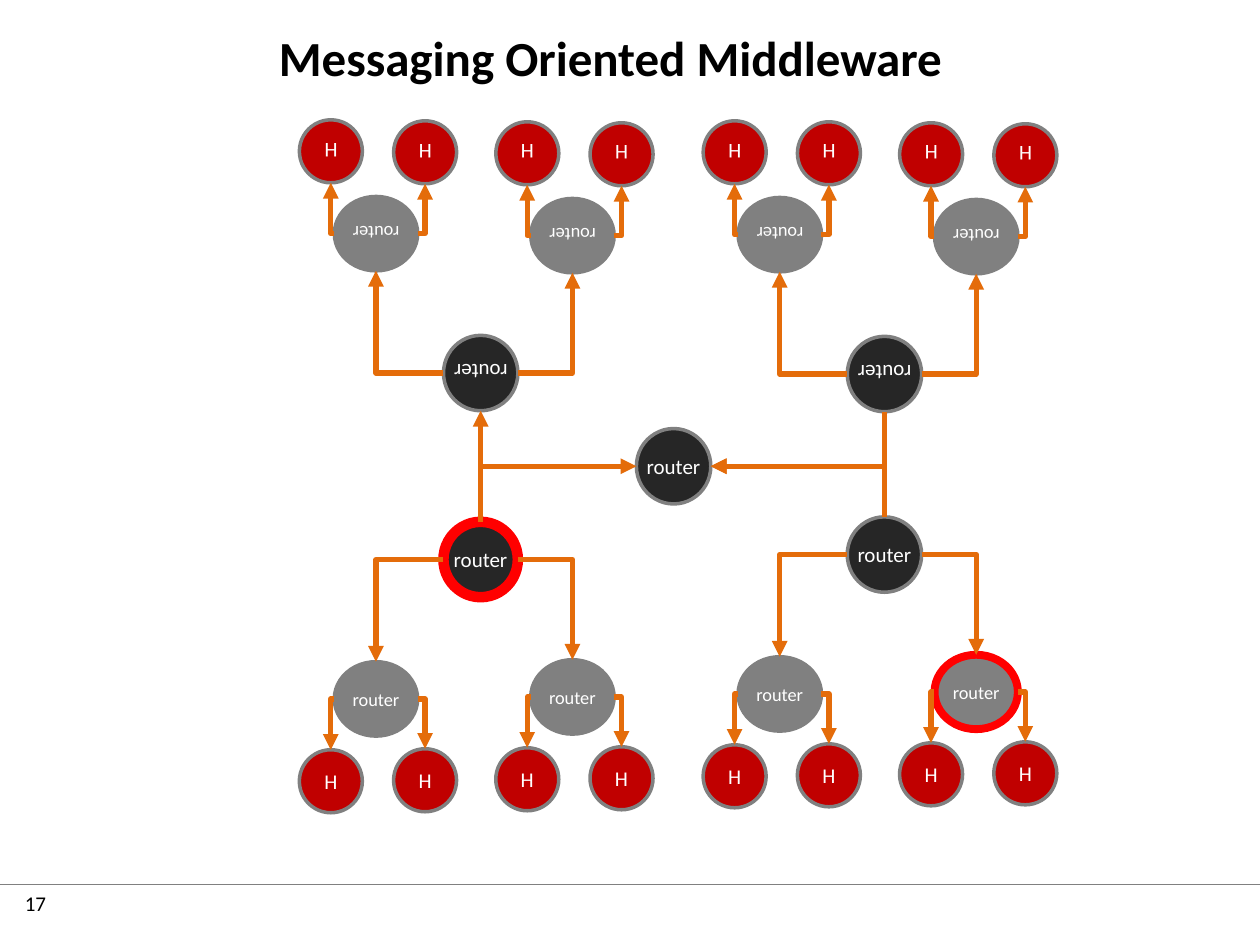
import pptx
import pptx.dml.color
import pptx.enum.shapes
import pptx.enum.text
import pptx.oxml.ns
import pptx.util
from lxml import etree
from pptx.util import Cm

COLORS = {
    "text": "000000", "label": "FFFFFF", "edge": "808080", "alert": "FF0000",
    "root": "262626", "router": "808080", "host": "C00000", "link": "E46C0A",
}
# kind: (width, height, label, font size), lengths in cm
NODES = {
    "root": (1.5, 1.52, "router", 12),
    "router": (1.68, 1.5, "router", 10.5),
    "host": (1.27, 1.27, "H", 12),
}
# Offsets of the left and right child from the parent's centre, for a tree growing down
ROUTER_OFFSETS = [(-2.11, 2.81), (1.85, 2.77)]
HOST_OFFSETS = [(-0.91, 1.66), (0.99, 1.64)]
HUB = (13.58, 9.4)
# centre x, centre y, growth (1 down, -1 up), root outline pt, router outlines pt (None = plain)
TREES = [
    (17.83, 11.18, 1, None, (None, 4.5)),
    (9.69, 11.28, 1, 6, (None, None)),
    (17.83, 7.54, -1, None, (None, None)),
    (9.69, 7.52, -1, None, (None, None)),
]


def rgb(name):
    return pptx.dml.color.RGBColor.from_string(COLORS[name])


class Diagram:
    def __init__(self, slide, font="Calibri"):
        self.slide = slide
        self.font = font

    def style_text(self, frame, size, color, align, bold=False):
        paragraph = frame.paragraphs[0]
        paragraph.alignment = align
        font = paragraph.runs[0].font
        font.name, font.size, font.bold = self.font, pptx.util.Pt(size), bold
        font.color.rgb = rgb(color)

    def text(self, wording, left, top, width, height, size, align, anchor, bold=False):
        box = self.slide.shapes.add_textbox(Cm(left), Cm(top), Cm(width), Cm(height))
        frame = box.text_frame
        frame.word_wrap = True
        frame.vertical_anchor = anchor
        frame.text = wording
        self.style_text(frame, size, "text", align, bold)

    def node(self, kind, x, y, growth=1, alert=None):
        """Draw an ellipse centred on x, y; upside down when its tree grows up."""
        width, height, label, size = NODES[kind]
        ellipse = self.slide.shapes.add_shape(
            pptx.enum.shapes.MSO_SHAPE.OVAL,
            Cm(x - width / 2), Cm(y - height / 2), Cm(width), Cm(height))
        ellipse.shadow.inherit = False
        ellipse.rotation = 0 if growth > 0 else 180
        ellipse.fill.solid()
        ellipse.fill.fore_color.rgb = rgb(kind)
        ellipse.line.color.rgb = rgb("alert" if alert else "edge")
        ellipse.line.width = pptx.util.Pt(alert or 2)
        frame = ellipse.text_frame
        frame.margin_left = frame.margin_right = frame.margin_top = frame.margin_bottom = 0
        frame.word_wrap = False
        frame.vertical_anchor = pptx.enum.text.MSO_ANCHOR.MIDDLE
        frame.text = label
        self.style_text(frame, size, "label", pptx.enum.text.PP_ALIGN.CENTER)

    def line(self, begin, end, color, weight, bent=False, arrow=None):
        """Join two points; a bent line runs level first. arrow is headEnd or tailEnd."""
        kinds = pptx.enum.shapes.MSO_CONNECTOR
        connector = self.slide.shapes.add_connector(
            kinds.ELBOW if bent else kinds.STRAIGHT, *map(Cm, begin + end))
        connector.line.color.rgb = rgb(color)
        connector.line.width = pptx.util.Pt(weight)
        properties = connector._element.spPr
        qn = pptx.oxml.ns.qn
        if bent:
            properties.find(qn("a:prstGeom")).set("prst", "bentConnector2")
        if arrow:
            etree.SubElement(properties.find(qn("a:ln")), qn("a:" + arrow), type="triangle")
        etree.SubElement(properties, qn("a:effectLst"))

    def branch(self, parent, child, x, y, dx, dy):
        """Link the parent's side at x, y to the near end of the child at offset dx, dy."""
        side = NODES[parent][0] / 2 * (1 if dx > 0 else -1)
        reach = NODES[child][1] / 2 * (1 if dy > 0 else -1)
        self.line((x + side, y), (x + dx, y + dy - reach), "link", 3, True, "tailEnd")

    def tree(self, x, y, growth, root_alert, router_alerts):
        self.node("root", x, y, growth, root_alert)
        for (dx, dy), alert in zip(ROUTER_OFFSETS, router_alerts):
            router_x, router_y = x + dx, y + dy * growth
            self.node("router", router_x, router_y, growth, alert)
            self.branch("root", "router", x, y, dx, dy * growth)
            for host_dx, host_dy in HOST_OFFSETS:
                self.node("host", router_x + host_dx, router_y + host_dy * growth, growth)
                self.branch("router", "host", router_x, router_y, host_dx, host_dy * growth)

    def trunks(self):
        """Link the hub to the roots, and the lower left root to the upper left one."""
        hub_x, hub_y = HUB
        half_width, half_height = NODES["root"][0] / 2, NODES["root"][1] / 2
        (right, low_right, *_), (left, low_left, *_), (_, high_right, *_), (_, high_left, *_) = TREES
        left_bottom = (left, low_left - half_height)
        self.line((left, high_left + half_height), left_bottom, "link", 3, arrow="headEnd")
        for side, end in [
            (-half_width, left_bottom),
            (half_width, (right, low_right - half_height)),
            (half_width, (right, high_right + half_height)),
        ]:
            self.line((hub_x + side, hub_y), end, "link", 3, True, "headEnd")


def main():
    presentation = pptx.Presentation()
    presentation.slide_width, presentation.slide_height = Cm(25.4), Cm(19.05)
    diagram = Diagram(presentation.slides.add_slide(presentation.slide_layouts[6]))
    align, anchor = pptx.enum.text.PP_ALIGN, pptx.enum.text.MSO_ANCHOR

    diagram.text("17", 0.25, 17.83, 2.03, 1.02, 12, align.LEFT, anchor.TOP)
    diagram.line((0, 17.83), (25.4, 17.83), "edge", 0.75)
    diagram.text("Messaging Oriented Middleware", 2.31, 0.48, 19.99, 1.32, 28,
                 align.CENTER, anchor.MIDDLE, bold=True)
    for tree in TREES:
        diagram.tree(*tree)
    diagram.node("root", *HUB)
    diagram.trunks()
    presentation.save("out.pptx")


if __name__ == "__main__":
    main()
